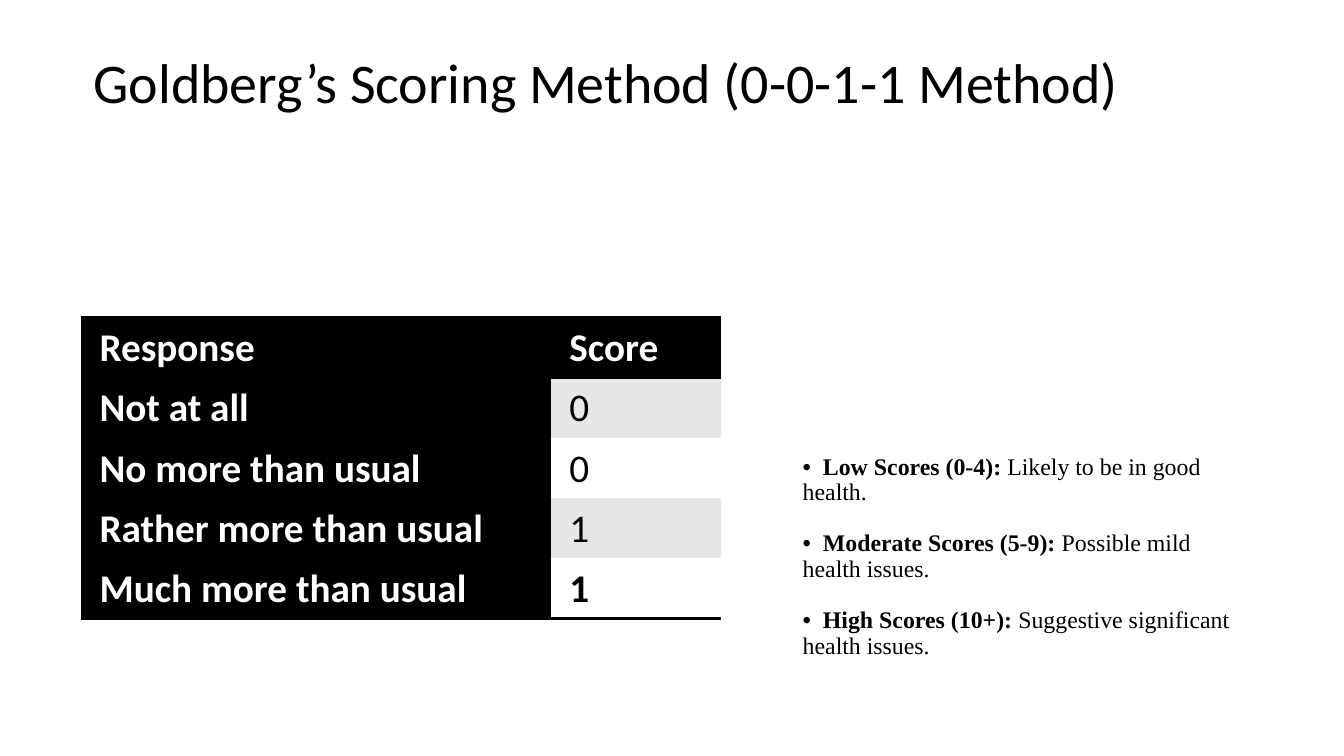
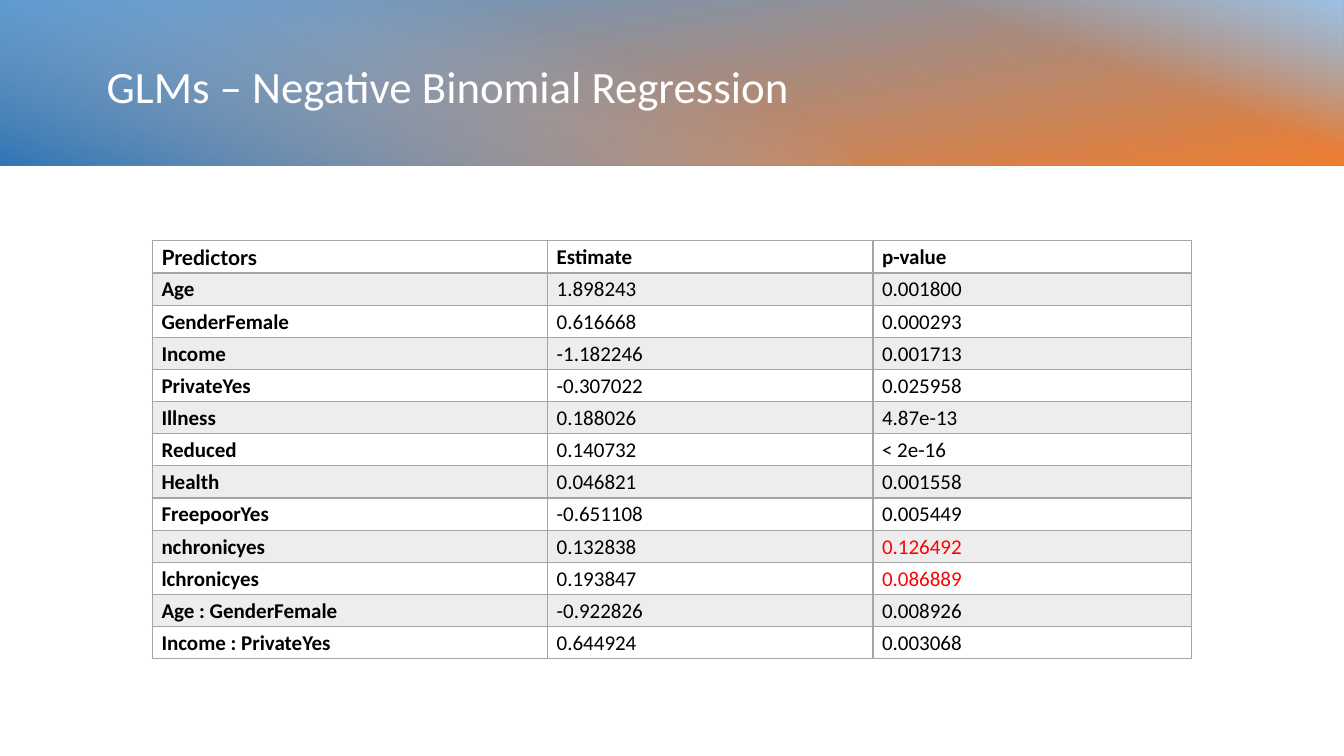
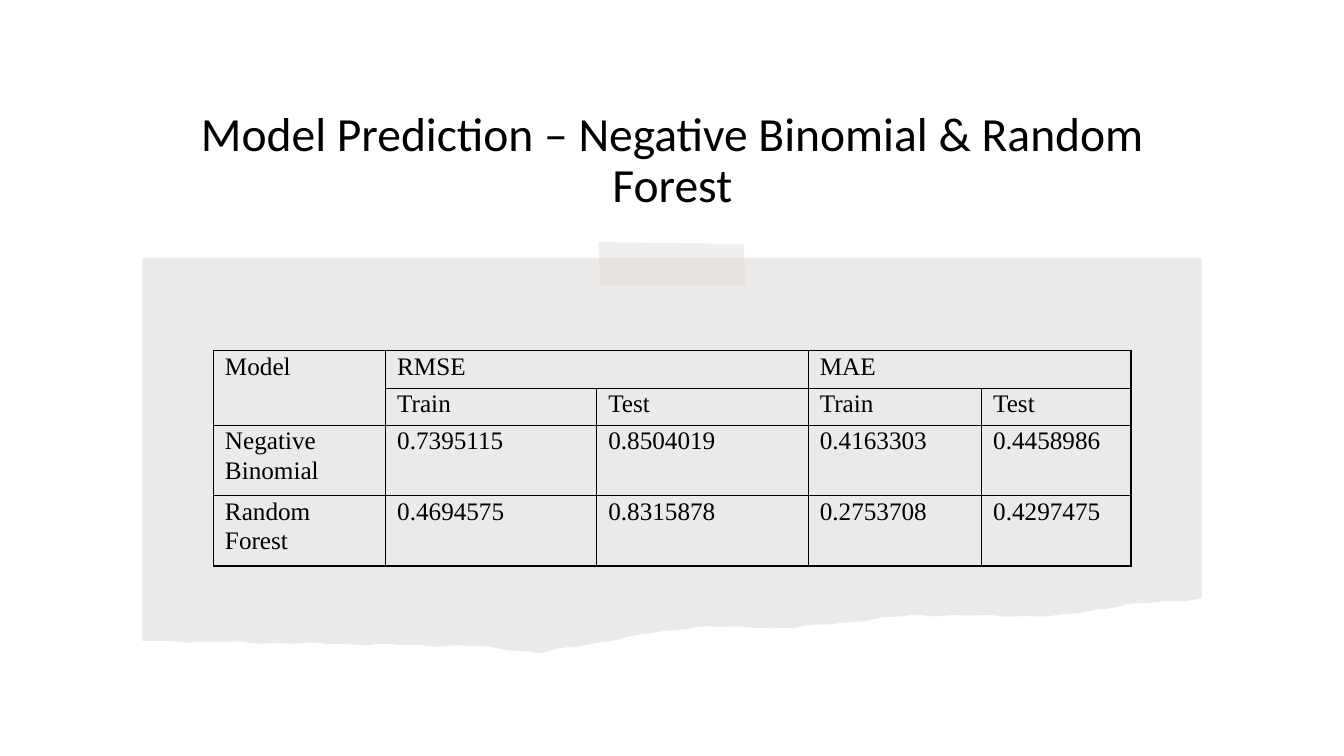
import math

import pptx
import pptx.util
import pptx.dml.color
import pptx.enum.shapes
import pptx.enum.text
import pptx.oxml
import pptx.oxml.ns

Cm = pptx.util.Cm
Pt = pptx.util.Pt
qn = pptx.oxml.ns.qn

WIDE, HIGH = 33.87, 19.05
INK, WHITE, GREY, RED = "000000", "FFFFFF", "A5A5A5", "FF0000"
STRIPE, SHADE = "E7E7E7", "EDEDED"
BLUE, ORANGE, PALE, DEEP = "5B9BD5", "ED7D31", "9DC3E6", "2E75B6"
PAPER, TAPE = "82766A", "D9D4D0"
SANS, SERIF = "Calibri", "Times New Roman"
PLAIN = "{2D5ABB26-0587-4C30-8999-92F81FD0307C}"  # table style without grid
LIMIT = 0.05  # p-values above this are shown in red


def rgb(code):
    return pptx.dml.color.RGBColor.from_string(code)


def node(tag, inner="", **attrs):
    """Make one drawing element, such as a:tab, from its parts."""
    pairs = "".join(f' {name}="{value}"' for name, value in attrs.items())
    space = pptx.oxml.ns.nsdecls("a")
    return pptx.oxml.parse_xml(f"<a:{tag} {space}{pairs}>{inner}</a:{tag}>")


def tone(color, alpha=100):
    """Colour markup with an opacity in percent."""
    return f'<a:srgbClr val="{color}"><a:alpha val="{alpha * 1000}"/></a:srgbClr>'


def put(item, values):
    """Set every attribute named in a dict."""
    for name, value in values.items():
        setattr(item, name, value)


def tear(knots, step=0.25, depth=0.03):
    """Follow straight lines between knots, with a small ripple on top."""
    points = []
    for (x1, y1), (x2, y2) in zip(knots, knots[1:]):
        count = max(1, round(abs(x2 - x1) / step))
        for i in range(count):
            x = x1 + (x2 - x1) * i / count
            y = y1 + (y2 - y1) * i / count
            points.append((x, y + depth * math.sin(5 * x) * math.cos(2 * x)))
    return points + [knots[-1]]


class Deck:
    def __init__(self):
        self.show = pptx.Presentation()
        put(self.show, {"slide_width": Cm(WIDE), "slide_height": Cm(HIGH)})
        self.slide = None

    def page(self):
        self.slide = self.show.slides.add_slide(self.show.slide_layouts[6])

    def run(self, para, text, size, color=INK, bold=False, font=SANS):
        run = para.add_run()
        run.text = text
        put(run.font, {"size": Pt(size), "bold": bold, "name": font})
        run.font.color.rgb = rgb(color)

    def box(self, place, anchor):
        shape = self.slide.shapes.add_textbox(*map(Cm, place))
        put(shape.text_frame, {"word_wrap": True, "vertical_anchor": anchor})
        return shape.text_frame

    def title(self, text, place, size, color=INK, align=None):
        para = self.box(place, pptx.enum.text.MSO_ANCHOR.MIDDLE).paragraphs[0]
        put(para, {"line_spacing": 0.9, "alignment": align})
        self.run(para, text, size, color)

    def notes(self, items, place, size, font):
        """Bulleted lines, each with a bold lead, that wrap back to the margin."""
        frame = self.box(place, pptx.enum.text.MSO_ANCHOR.TOP)
        for i, (lead, rest) in enumerate(items):
            para = frame.add_paragraph() if i else frame.paragraphs[0]
            put(para, {"line_spacing": 0.9, "space_after": Pt(18)})
            tabs = node("tabLst", f'<a:tab pos="{Cm(0.51)}" algn="l"/>')
            para._p.get_or_add_pPr().append(tabs)
            self.run(para, "•\t", size, font="Arial")
            self.run(para, lead, size, bold=True, font=font)
            self.run(para, " " + rest, size, font=font)

    def paint(self, shape, color, alpha=100):
        shape.shadow.inherit = False
        shape.line.fill.background()
        shape.fill.solid()
        shape.fill.fore_color.rgb = rgb(color)
        if alpha < 100:
            mark = shape._element.spPr.find(".//" + qn("a:srgbClr"))
            mark.append(node("alpha", val=alpha * 1000))

    def rect(self, place, color=WHITE):
        kind = pptx.enum.shapes.MSO_SHAPE.RECTANGLE
        shape = self.slide.shapes.add_shape(kind, *map(Cm, place))
        self.paint(shape, color)
        return shape

    def blend(self, place, angle, *stops):
        """Rectangle with a gradient; stops are (percent, colour, opacity)."""
        props = self.rect(place)._element.spPr
        marks = "".join(f'<a:gs pos="{at * 1000}">{tone(color, alpha)}</a:gs>'
                        for at, color, alpha in stops)
        line = f'<a:lin ang="{angle * 60000}" scaled="0"/>'
        fill = node("gradFill", f"<a:gsLst>{marks}</a:gsLst>{line}", rotWithShape=1)
        props.replace(props.find(qn("a:solidFill")), fill)

    def outline(self, points, color, alpha):
        first, *rest = [(Cm(x), Cm(y)) for x, y in points]
        pen = self.slide.shapes.build_freeform(*first)
        pen.add_line_segments(rest, close=True)
        self.paint(pen.convert_to_shape(), color, alpha)

    def table(self, rows, spot, cols, highs, inset, spacing, look, merges=()):
        """look(row, col, text) gives a cell's fill, edges and text style."""
        size = (sum(cols), sum(highs))
        shape = self.slide.shapes.add_table(len(rows), len(cols), *map(Cm, spot + size))
        grid = shape.table
        put(grid, {"first_row": False, "horz_banding": False})
        grid._tbl.tblPr.find(qn("a:tableStyleId")).text = PLAIN
        for col, width in zip(grid.columns, cols):
            col.width = Cm(width)
        for row, height in zip(grid.rows, highs):
            row.height = Cm(height)
        for r, words in enumerate(rows):
            for c, text in enumerate(words):
                self.cell(grid.cell(r, c), text, inset, spacing, *look(r, c, text))
        for start, end in merges:
            grid.cell(*start).merge(grid.cell(*end))

    def cell(self, cell, text, inset, spacing, fill, edges, style):
        put(cell, {"margin_left": Cm(inset), "margin_right": Cm(inset),
                   "margin_top": 0, "margin_bottom": 0})
        self.edge(cell, edges)
        if fill:
            cell.fill.solid()
            cell.fill.fore_color.rgb = rgb(fill)
        else:
            cell.fill.background()
        para = cell.text_frame.paragraphs[0]
        put(para, {"line_spacing": spacing, "space_after": Pt(8)})
        if text:
            self.run(para, text, **style)

    def edge(self, cell, edges):
        """edges maps a side (L, R, T, B) to a colour and a width."""
        props = cell._tc.get_or_add_tcPr()
        for side in "LRTB":
            if side in edges:
                color, width = edges[side]
                fill = f"<a:solidFill>{tone(color)}</a:solidFill>"
                props.append(node("ln" + side, fill, w=Pt(width)))


SCORES = [
    ("Response", "Score"),
    ("Not at all", "0"),
    ("No more than usual", "0"),
    ("Rather more than usual", "1"),
    ("Much more than usual", "1"),
]
LEVELS = [
    ("Low Scores (0-4):", "Likely to be in good health."),
    ("Moderate Scores (5-9):", "Possible mild health issues."),
    ("High Scores (10+):", "Suggestive significant health issues."),
]
TERMS = [
    ("Predictors", "Estimate", "p-value"),
    ("Age", "1.898243", "0.001800"),
    ("GenderFemale", "0.616668", "0.000293"),
    ("Income", "-1.182246", "0.001713"),
    ("PrivateYes", "-0.307022", "0.025958"),
    ("Illness", "0.188026", "4.87e-13"),
    ("Reduced", "0.140732", "< 2e-16"),
    ("Health", "0.046821", "0.001558"),
    ("FreepoorYes", "-0.651108", "0.005449"),
    ("nchronicyes", "0.132838", "0.126492"),
    ("lchronicyes", "0.193847", "0.086889"),
    ("Age : GenderFemale", "-0.922826", "0.008926"),
    ("Income : PrivateYes", "0.644924", "0.003068"),
]
ERRORS = [
    ("Model", "RMSE", "", "MAE", ""),
    ("", "Train", "Test", "Train", "Test"),
    ("Negative Binomial", "0.7395115", "0.8504019", "0.4163303", "0.4458986"),
    ("Random Forest", "0.4694575", "0.8315878", "0.2753708", "0.4297475"),
]


def frame(color):
    """The same thin line on all four sides."""
    return {side: (color, 1) for side in "LRTB"}


def score(r, c, text):
    head = r == 0 or c == 0
    last = r == len(SCORES) - 1
    sides = "TB" if r == 0 else "B" if last else ""
    fill = INK if head else STRIPE if r % 2 else WHITE
    style = {"size": 28, "bold": head or last, "color": WHITE if head else INK}
    return fill, {side: (INK, 2) for side in sides}, style


def term(r, c, text):
    head = r == 0
    edges = frame(GREY)
    if head:
        edges["B"] = (GREY, 2)
    weak = c == 2 and not head and float(text.lstrip("< ")) > LIMIT
    style = {"size": 15, "bold": head or c == 0, "color": RED if weak else INK,
             "font": "Lato" if head and c == 0 else SANS}
    return SHADE if r % 2 else None, edges, style


def error(r, c, text):
    return None, frame(INK), {"size": 18, "font": SERIF}


def scoring(deck):
    deck.page()
    deck.rect((0, 0, WIDE, 4.83))
    deck.title("Goldberg’s Scoring Method (0-0-1-1 Method)", (2.11, 0.86, 29.69, 2.59), 40)
    deck.notes(LEVELS, (19.98, 11.33, 11.84, 6), 17, SERIF)
    deck.table(SCORES, (2.05, 7.99), [11.84, 4.29], [1.52] * len(SCORES),
               0.46, 1.15, score)


def banner(deck):
    """Blue to orange band, with a pale right and a deep left corner."""
    top, high, right, left = -0.06, 4.22, 14.07, 21.44
    deck.blend((0, top, WIDE, high), 80, (0, BLUE, 100), (100, ORANGE, 100))
    deck.blend((WIDE - right, top, right, high), 290, (59, PALE, 0), (100, PALE, 100))
    deck.blend((0, top, left, high), 110, (29, PALE, 0), (100, DEEP, 100))


def binomial(deck):
    deck.page()
    banner(deck)
    deck.title("GLMs – Negative Binomial Regression", (2.44, 0.84, 29.11, 2.79), 32, WHITE)
    deck.table(TERMS, (3.84, 6.07), [9.96, 8.2, 8.03], [0.81] * len(TERMS),
               0.23, 1.15, term)


def sheet(deck):
    """Torn sheet of paper, held by a strip of tape over its top edge."""
    left, right, top = 3.59, 30.28, 6.5
    bends = [(28.4, 15.24), (26.6, 15.53), (23, 15.5), (20, 15.82), (17.6, 15.79),
             (16.5, 15.94), (13.6, 16.45), (12, 16.28)]
    torn = tear([(right, 15.09), *bends, (left, 16.15)])
    deck.outline([(left, top), (right, top), *torn], PAPER, 15)

    wide, high, skew = 3.71, 1.1, 0.05
    start, upper = (WIDE - wide) / 2, 6.1
    end, lower = start + wide, upper + high
    deck.outline([(start, upper), (end - skew, upper + skew), (end, lower),
                  (start + skew, lower)], TAPE, 35)


def forecast(deck):
    deck.page()
    deck.title("Model Prediction – Negative Binomial & Random Forest",
               (4.55, 2.59, 24.79, 2.95), 34, align=pptx.enum.text.PP_ALIGN.CENTER)
    sheet(deck)
    model, rmse, mae = [(0, 0), (1, 0)], [(0, 1), (0, 2)], [(0, 3), (0, 4)]
    deck.table(ERRORS, (5.38, 8.84), [4.34, 5.32, 5.33, 4.37, 3.76],
               [0.94] * 2 + [1.77] * 2, 0.29, 1.07, error, [model, rmse, mae])


def main():
    deck = Deck()
    for build in (scoring, binomial, forecast):
        build(deck)
    deck.show.save("out.pptx")


if __name__ == "__main__":
    main()
